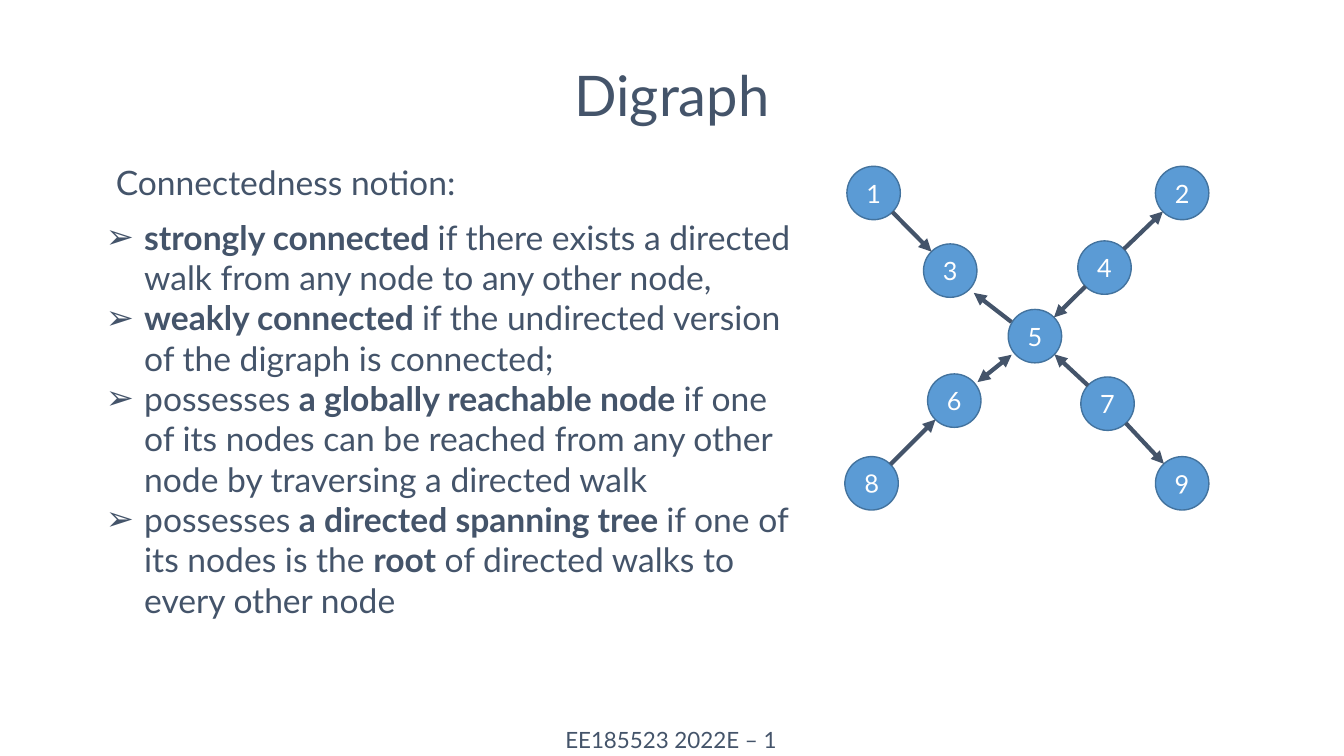
import math
from pptx import Presentation
from pptx import util as u
from pptx.dml import color
from pptx.enum import shapes, text
from pptx.oxml import ns, xmlchemy

COLORS = {"ink": "44546A", "node": "5B9BD5", "edge": "43739E", "white": "FFFFFF"}
FONT = "Lato"
DIAMETER = 0.53

# Name: left, top, rotation
NODES = {
    "1": (8.4, 1.65, 0), "2": (11.46, 1.65, 0), "3": (9.16, 2.42, 0),
    "4": (10.69, 2.39, 0), "5": (10, 3.07, 0), "6": (9.2, 3.71, 0),
    "7": (10.72, 3.74, 0), "8": (8.38, 4.53, -3.6), "9": (11.46, 4.53, -5.6),
}
# From, to, two-way, gap at both ends, downward shift
ARROWS = [
    ("8", "6", False, 0, 0), ("4", "2", False, 0, 0), ("4", "5", False, 0, 0),
    ("7", "5", False, 0, 0), ("1", "3", False, 0, 0), ("7", "9", False, 0, 0),
    ("6", "5", True, 0.03, 0), ("5", "3", False, 0.03, 0.04),
]
# Each item is a list of (words, bold)
NOTIONS = [
    [("strongly connected ", True),
     ("if there exists a directed walk from any node to any other node,", False)],
    [("weakly connected ", True),
     ("if the undirected version of the digraph is connected;", False)],
    [("possesses ", False), ("a globally reachable node ", True),
     ("if one of its nodes can be reached from any other node by traversing a directed walk", False)],
    [("possesses ", False), ("a directed spanning tree ", True),
     ("if one of its nodes is the ", False), ("root", True),
     (" of directed walks to every other node", False)],
]


def rgb(name):
    return color.RGBColor.from_string(COLORS[name])


def place(shape, box):
    shape.left, shape.top, shape.width, shape.height = map(u.Inches, box)


def add_span(para, words, size, bold=False, ink="ink"):
    span = para.add_run()
    span.text = words
    span.font.name, span.font.size, span.font.bold = FONT, u.Pt(size), bold
    span.font.color.rgb = rgb(ink)


def add_title(page, box, words):
    title = page.shapes.title
    place(title, box)
    frame = title.text_frame
    frame.auto_size = text.MSO_AUTO_SIZE.NONE
    frame.vertical_anchor = text.MSO_ANCHOR.BOTTOM
    para = frame.paragraphs[0]
    para.alignment, para.line_spacing = text.PP_ALIGN.CENTER, 0.9
    add_span(para, words, 40)


def add_label(page, box, words, size):
    label = page.shapes.add_textbox(*map(u.Inches, box))
    label.text_frame.word_wrap = True
    add_span(label.text_frame.paragraphs[0], words, size)
    return label.text_frame


def add_footer(page, box, words):
    frame = add_label(page, box, words, 16)
    frame.margin_left = frame.margin_right = frame.margin_top = frame.margin_bottom = 0
    para = frame.paragraphs[0]
    para.alignment, para.line_spacing = text.PP_ALIGN.CENTER, 1.1


def add_notions(page, box):
    body = page.placeholders[1]
    place(body, box)
    frame = body.text_frame
    frame.auto_size = text.MSO_AUTO_SIZE.NONE
    frame.vertical_anchor = text.MSO_ANCHOR.TOP
    for index, notion in enumerate(NOTIONS):
        para = frame.add_paragraph() if index else frame.paragraphs[0]
        para.space_before, para.line_spacing = u.Pt(0), 1.0
        # Hanging bullet
        props = para._p.get_or_add_pPr()
        props.set("marL", str(u.Inches(0.38)))
        props.set("indent", str(-u.Inches(0.38)))
        bullet = xmlchemy.OxmlElement("a:buChar")
        bullet.set("char", "➢")
        props.append(bullet)
        for words, bold in notion:
            add_span(para, words, 24, bold)


def add_node(page, name, left, top, rotation):
    node = page.shapes.add_shape(shapes.MSO_SHAPE.OVAL, *map(u.Inches, (left, top, DIAMETER, DIAMETER)))
    node.name = "Node " + name
    node.rotation = rotation
    node.shadow.inherit = False
    node.fill.solid()
    node.fill.fore_color.rgb = rgb("node")
    node.line.color.rgb = rgb("edge")
    node.line.width = u.Pt(1)
    frame = node.text_frame
    frame.vertical_anchor = text.MSO_ANCHOR.MIDDLE
    frame.paragraphs[0].alignment = text.PP_ALIGN.CENTER
    add_span(frame.paragraphs[0], name, 18, ink="white")


def add_arrow(page, start, end, two_way, gap, drop):
    """Join two circles edge to edge along the line between their centres."""
    (x1, y1), (x2, y2) = [
        (left + DIAMETER / 2, top + DIAMETER / 2 + drop)
        for left, top, _ in (NODES[start], NODES[end])
    ]
    share = (DIAMETER / 2 + gap) / math.hypot(x2 - x1, y2 - y1)
    dx, dy = (x2 - x1) * share, (y2 - y1) * share
    arrow = page.shapes.add_connector(
        shapes.MSO_CONNECTOR.STRAIGHT, *map(u.Inches, (x1 + dx, y1 + dy, x2 - dx, y2 - dy)))
    arrow.line.color.rgb = rgb("ink")
    arrow.line.width = u.Pt(3)
    outline = arrow.line._get_or_add_ln()
    for tag in ["a:headEnd"] * two_way + ["a:tailEnd"]:
        tip = xmlchemy.OxmlElement(tag)
        tip.set("type", "triangle")
        outline.append(tip)
    arrow._element.find(ns.qn("p:spPr")).append(xmlchemy.OxmlElement("a:effectLst"))


def add_digraph(page):
    for name, spot in NODES.items():
        add_node(page, name, *spot)
    for arrow in ARROWS:
        add_arrow(page, *arrow)


def main():
    deck = Presentation()
    deck.slide_width, deck.slide_height = u.Inches(13.33), u.Inches(7.5)
    page = deck.slides.add_slide(deck.slide_layouts[1])
    add_footer(page, (1.29, 7.18, 10.73, 0.31), "EE185523 2022E – 1")
    add_title(page, (0, 0.63, 13.33, 0.7), "Digraph")
    add_digraph(page)
    add_notions(page, (0.95, 2.1, 7.12, 4.54))
    add_label(page, (1.05, 1.56, 7.12, 0.5), "Connectedness notion:", 24)
    deck.save("out.pptx")


if __name__ == "__main__":
    main()
